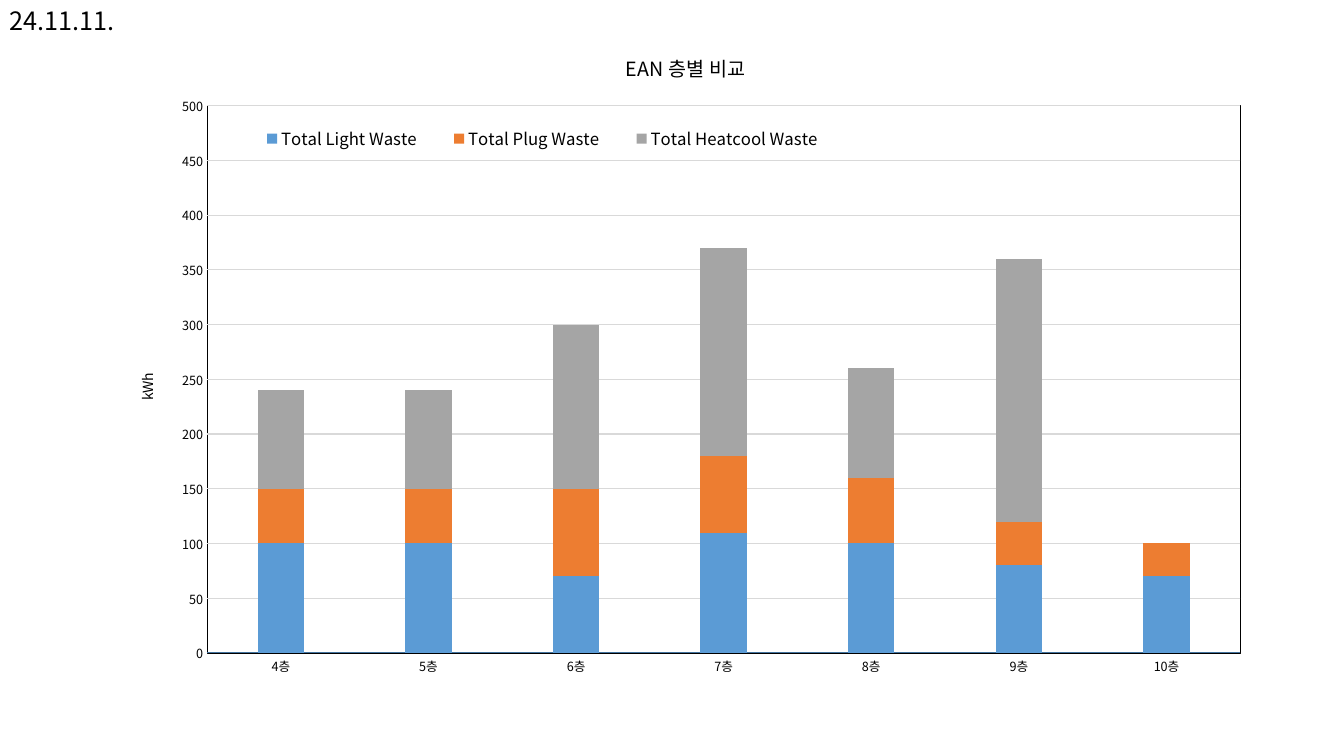
"""Build a slide with a stacked column chart of wasted energy by floor."""
import pptx
import pptx.chart.data
import pptx.dml.color
import pptx.enum.chart
import pptx.enum.text
import pptx.oxml
import pptx.oxml.ns
import pptx.util

Pt = pptx.util.Pt
qn = pptx.oxml.ns.qn
FONT = "Noto Sans CJK KR"
HUES = {"text": "000000", "base": "43739E", "grid": "D9D9D9",
        "light": "5B9BD5", "plug": "ED7D31", "heat": "A5A5A5"}


def style(font, size):
    font.name, font.size, font.bold = FONT, Pt(size), False
    font.color.rgb = pptx.dml.color.RGBColor.from_string(HUES["text"])


def place(node, **spots):
    for old in node.findall(qn("c:layout")):
        node.remove(old)
    modes = "".join(f'<c:{key}Mode val="edge"/>' for key in "xy")
    sizes = "".join(f'<c:{key} val="{val}"/>' for key, val in spots.items())
    inner = '<c:layoutTarget val="inner"/>' if node.tag == qn("c:plotArea") else ""
    box = pptx.oxml.parse_xml(
        f'<c:layout {pptx.oxml.ns.nsdecls("c")}><c:manualLayout>'
        f'{inner}{modes}{sizes}</c:manualLayout></c:layout>')
    after = node.find(qn("c:overlay"))
    if after is None:
        node.insert(0, box)
    else:
        after.addprevious(box)


deck = pptx.Presentation()
deck.slide_width, deck.slide_height = Pt(960), Pt(540)
slide = deck.slides.add_slide(deck.slide_layouts[6])

date = slide.shapes.add_textbox(Pt(0), Pt(0), Pt(183), Pt(29)).text_frame
date.word_wrap = True
date.auto_size = pptx.enum.text.MSO_AUTO_SIZE.SHAPE_TO_FIT_TEXT
run = date.paragraphs[0].add_run()
run.text = "24.11.11."
style(run.font, 18)

data = pptx.chart.data.CategoryChartData()
data.categories = [f"{floor}층" for floor in range(4, 11)]
waste = [
    ("Total Light Waste", "light", (100, 100, 70, 110, 100, 80, 70)),
    ("Total Plug Waste", "plug", (50, 50, 80, 70, 60, 40, 30)),
    ("Total Heatcool Waste", "heat", (90, 90, 150, 190, 100, 240, 0)),
]
for name, hue, vals in waste:
    data.add_series(name, vals)
chart = slide.shapes.add_chart(
    pptx.enum.chart.XL_CHART_TYPE.COLUMN_STACKED,
    Pt(87), Pt(13.7), Pt(812), Pt(502), data).chart
style(chart.font, 10)

plot = chart.plots[0]
plot.gap_width, plot.overlap, plot.vary_by_categories = 219, 100, False
for bar, (name, hue, vals) in zip(plot.series, waste):
    bar.format.fill.solid()
    bar.format.fill.fore_color.rgb = pptx.dml.color.RGBColor.from_string(HUES[hue])

floors, power = chart.category_axis, chart.value_axis
for axis in (floors, power):
    axis.major_tick_mark = axis.minor_tick_mark = pptx.enum.chart.XL_TICK_MARK.NONE
    style(axis.tick_labels.font, 9)
power.minimum_scale, power.maximum_scale, power.major_unit = 0, 500, 50
power.has_major_gridlines = True
power.format.line.fill.background()
for line, hue in ((floors.format.line, "base"),
                  (power.major_gridlines.format.line, "grid")):
    line.width = Pt(0.75)
    line.color.rgb = pptx.dml.color.RGBColor.from_string(HUES[hue])

chart.has_title = power.has_title = True
for title, text, size, x, y in (
        (chart.chart_title, "EAN 층별 비교", 14, 0.44, 0.04),
        (power.axis_title, "kWh", 10, 0.01, 0.5)):
    run = title.text_frame.paragraphs[0].add_run()
    run.text = text
    style(run.font, size)
    place(title._element, x=x, y=y)

chart.has_legend = True
chart.legend.position = pptx.enum.chart.XL_LEGEND_POSITION.BOTTOM
chart.legend.include_in_layout = False
style(chart.legend.font, 12)
place(chart.legend._element, x=0.1, y=0.14, w=0.54, h=0.06)

space = chart._chartSpace
area = space.find(".//" + qn("c:plotArea"))
place(area, x=0.075, y=0.123, w=0.909, h=0.779)
area.append(pptx.oxml.parse_xml(
    f'<c:spPr {pptx.oxml.ns.nsdecls("c", "a")}><a:noFill/><a:ln w="9525">'
    f'<a:solidFill><a:srgbClr val="{HUES["text"]}"/></a:solidFill></a:ln></c:spPr>'))
for latin in list(space.iter(qn("a:latin"))):
    latin.addnext(pptx.oxml.parse_xml(
        f'<a:ea {pptx.oxml.ns.nsdecls("a")} typeface="{FONT}"/>'))

deck.save("out.pptx")
